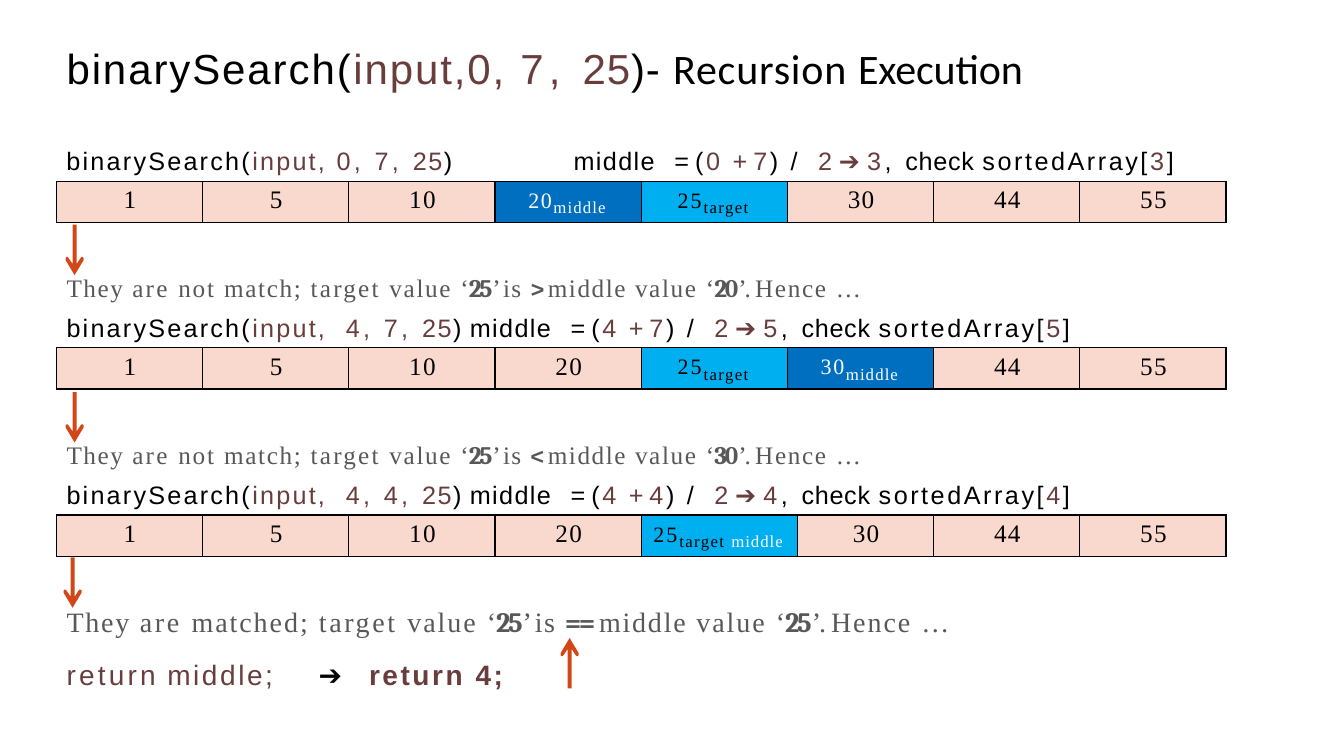
from lxml import etree
from pptx import Presentation
from pptx.dml.color import RGBColor
from pptx.enum import text
from pptx.oxml import ns
from pptx import util as u

PX = 9144  # 100 px to the inch

SERIF, SANS = "Times New Roman", "Arial"
THEME = {
    "sizes": {"title": 30, "body": 18, "result": 20},
    "fills": {"plain": "F9D9CD", "middle": "006FC0", "target": "00AFEF"},
    "border": "000000",
    "arrow": "D24717",
    "styles": {
        "heading": {"font": "Calibri", "color": "000000"},
        "code": {"font": SANS, "color": "000000"},
        "value": {"font": SANS, "color": "6A3D3D"},
        "answer": {"font": SANS, "color": "6A3D3D", "bold": True},
        "prose": {"font": SERIF, "color": "585858"},
        "strong": {"font": "Cambria", "color": "585858", "bold": True},
        "cell": {"font": SERIF, "color": "000000"},
        "target": {"font": SERIF, "color": "000000", "size": 27, "raised": 14000},
        "target label": {"font": SERIF, "color": "000000", "size": 12},
        "middle": {"font": SERIF, "color": "FFFFFF", "size": 27, "raised": 14000},
        "middle label": {"font": SERIF, "color": "FFFFFF", "size": 12},
    },
}
SIZES, FILLS = THEME["sizes"], THEME["fills"]


def write(para, runs, size, indent=1, tabs=(), **formats):
    """Fill a paragraph with (words, style, letter spacing) runs."""
    props = para._p.get_or_add_pPr()
    props.set("marL", str(indent * PX))
    props.set("indent", "0")
    if tabs:
        stops = etree.SubElement(props, ns.qn("a:tabLst"))
        for stop in tabs:
            etree.SubElement(stops, ns.qn("a:tab"), pos=str(stop * PX), algn="l")
    for name, value in formats.items():
        setattr(para, name, value)
    for words, style_name, spacing in runs:
        style = THEME["styles"][style_name]
        span = para.add_run()
        span.text = words
        look = {"name": style["font"], "size": u.Pt(style.get("size", size)),
                "bold": style.get("bold", False)}
        for name, value in look.items():
            setattr(span.font, name, value)
        span.font.color.rgb = RGBColor.from_string(style["color"])
        span_props = span._r.get_or_add_rPr()
        span_props.set("spc", str(round(spacing * 100)))
        if "raised" in style:
            span_props.set("baseline", str(style["raised"]))


def place(box, left, top, width, height, inset=1):
    """Position a text shape and return its text frame."""
    sides = {"left": left, "top": top, "width": width, "height": height}
    for name, value in sides.items():
        setattr(box, name, value * PX)
    frame = box.text_frame
    layout = {"margin_left": 0, "margin_top": inset * PX, "margin_right": 0,
              "margin_bottom": 0, "word_wrap": True,
              "auto_size": text.MSO_AUTO_SIZE.SHAPE_TO_FIT_TEXT}
    for name, value in layout.items():
        setattr(frame, name, value)
    return frame


deck = Presentation()
deck.slide_width, deck.slide_height = 1333 * PX, 750 * PX
page = deck.slides.add_slide(deck.slide_layouts[5])

# Title
frame = place(page.shapes.title, 65, 41, 1089, 52)
frame.vertical_anchor = text.MSO_ANCHOR.MIDDLE
write(frame.paragraphs[0], [
    ("binarySearch(", "code", 1.4), ("input,0, ", "value", 1.4), ("7, ", "value", 3.7),
    ("25", "value", 0.6), (")- ", "code", 0.6), ("Recursion ", "heading", 0.6),
    ("Execution", "heading", -0.1),
], SIZES["title"], alignment=text.PP_ALIGN.LEFT)

# Search steps: low, high, middle index, table top
numbers = [1, 5, 10, 20, 25, 30, 44, 55]
target = numbers.index(25)
steps = [(0, 7, 3, 180), (4, 7, 5, 345), (4, 4, 4, 511)]
explanation = None

for low, high, middle, top in steps:
    # Call and midpoint
    call = [
        ("binarySearch(", "code", 1.6), ("input,", "value", 1.6),
        (" ", "value", 8.2 if low else 1.6), (f"{low}, {high}, ", "value", 2.4),
        ("25", "value", 1.1), (")", "code", 1.1),
    ]
    check = [
        ("middle\t", "code", 1), ("= ", "code", -0.7), ("(", "code", 1.9),
        (f"{low} ", "value", 1.9), ("+ ", "value", -0.7), (f"{high}", "value", 1.9),
        (") ", "code", 1.9), ("/ ", "code", 4.8), ("2 ", "value", -0.1),
        ("➔ ", "value", 0), (f"{middle}", "value", 2.4), (", ", "code", 2.4),
        ("check ", "code", 0.5), ("sortedArray[", "code", 1.8),
        (f"{middle}", "value", 1.8), ("]", "code", 1.8),
    ]
    if explanation:
        frame = place(page.shapes.add_textbox(0, 0, 0, 0), 65, top - 86, 1149, 82, 11)
        write(frame.paragraphs[0], explanation, SIZES["body"])
        write(frame.add_paragraph(), call + [("\t", "code", 1.1)] + check, SIZES["body"],
              tabs=(504, 600), space_before=u.Pt(7))
    else:
        frame = place(page.shapes.add_textbox(0, 0, 0, 0), 65, 143, 400, 32)
        write(frame.paragraphs[0], call, SIZES["body"])
        frame = place(page.shapes.add_textbox(0, 0, 0, 0), 568, 143, 646, 32)
        write(frame.paragraphs[0], check, SIZES["body"], tabs=(97,))

    # Array row
    table = page.shapes.add_table(1, len(numbers), 56 * PX, top * PX, 1160 * PX, 41 * PX).table
    table.first_row = table.horz_banding = False
    for index, number in enumerate(numbers):
        widening = 0
        if middle == target:
            widening = {target: 10, target + 1: -10}.get(index, 0)
        table.columns[index].width = (145 + widening) * PX
        cell = table.cell(0, index)
        marked = index in (middle, target)
        cell.margin_left = cell.margin_right = cell.margin_bottom = 0
        cell.margin_top = (12 if marked else 5) * PX
        for side in ("a:lnL", "a:lnR", "a:lnT", "a:lnB"):
            line = etree.SubElement(cell._tc.get_or_add_tcPr(), ns.qn(side), w="12700")
            paint = etree.SubElement(line, ns.qn("a:solidFill"))
            etree.SubElement(paint, ns.qn("a:srgbClr"), val=THEME["border"])
        role = "target" if index == target else "middle" if index == middle else "plain"
        cell.fill.solid()
        cell.fill.fore_color.rgb = RGBColor.from_string(FILLS[role])
        para = cell.text_frame.paragraphs[0]
        if not marked:
            write(para, [(str(number), "cell", 0.9 if number > 9 else 0)], SIZES["body"],
                  alignment=text.PP_ALIGN.CENTER)
            continue
        runs, indent = [(str(number), role, 1.5 if role == "target" else 1.2)], 33
        if role == "middle":
            runs.append(("middle", "middle label", 0.8))
        elif middle == target:
            runs += [("target ", "target label", 1), ("middle", "middle label", 0.7)]
            indent = 12
        else:
            runs.append(("target", "target label", 1))
            indent = 36
        write(para, runs, SIZES["body"], indent, line_spacing=u.Pt(20.4))

    # Comparison sentence that follows this row
    found = middle == target
    sign = "==" if found else ">" if middle < target else "<"
    verdict = [("matched; ", 1.2)] if found else [("not ", 1.3), ("match; ", 1.2)]
    loose = 1.15 if found else 1
    opening = [("They ", 1.1), ("are ", 1.6), *verdict, ("target ", 1.6), ("value ", 1.2)]
    explanation = [(words, "prose", spacing * loose) for words, spacing in opening] + [
        ("‘", "prose", -1.6), ("25", "strong", -1.6), ("’ ", "prose", -1.6),
        ("is ", "prose", 0.9 * loose), (f"{sign} ", "strong", -1.8),
        ("middle ", "prose", 1.1 * loose), ("value ", "prose", 1.2 * loose),
        ("‘", "prose", -1.5), (f"{numbers[middle]}", "strong", -1.5), ("’. ", "prose", -1.5),
        ("Hence ", "prose", 1.2 * loose), ("…", "prose", 0),
    ]

# Result
frame = place(page.shapes.add_textbox(0, 0, 0, 0), 65, 600, 882, 87)
write(frame.paragraphs[0], explanation, SIZES["result"], line_spacing=u.Pt(23.4))
write(frame.add_paragraph(), [
    ("return\t", "value", 2.3), ("middle;\t", "value", 1.8), ("➔\t", "code", 0.1),
    ("return 4;", "answer", 1.8),
], SIZES["result"], tabs=(108, 231, 276), line_spacing=u.Pt(37.8))

# Arrows: shaft centre, tail, direction (1 down, -1 up)
right_half = [(2, 0), (2, 39), (6, 33), (7, 32), (8, 32), (9, 33), (9, 35), (0, 50)]
outline = right_half + [(-x, y) for x, y in reversed(right_half[:-1])]
for centre, tail, direction in [(74, 223, 1), (74, 389, 1), (72, 553, 1), (565, 683, -1)]:
    points = [(centre + x, tail + direction * y) for x, y in outline]
    builder = page.shapes.build_freeform(*points[0], scale=PX)
    builder.add_line_segments(points[1:], close=True)
    arrow = builder.convert_to_shape()
    arrow.shadow.inherit = False
    arrow.fill.solid()
    arrow.fill.fore_color.rgb = RGBColor.from_string(THEME["arrow"])
    arrow.line.fill.background()

deck.save("out.pptx")
